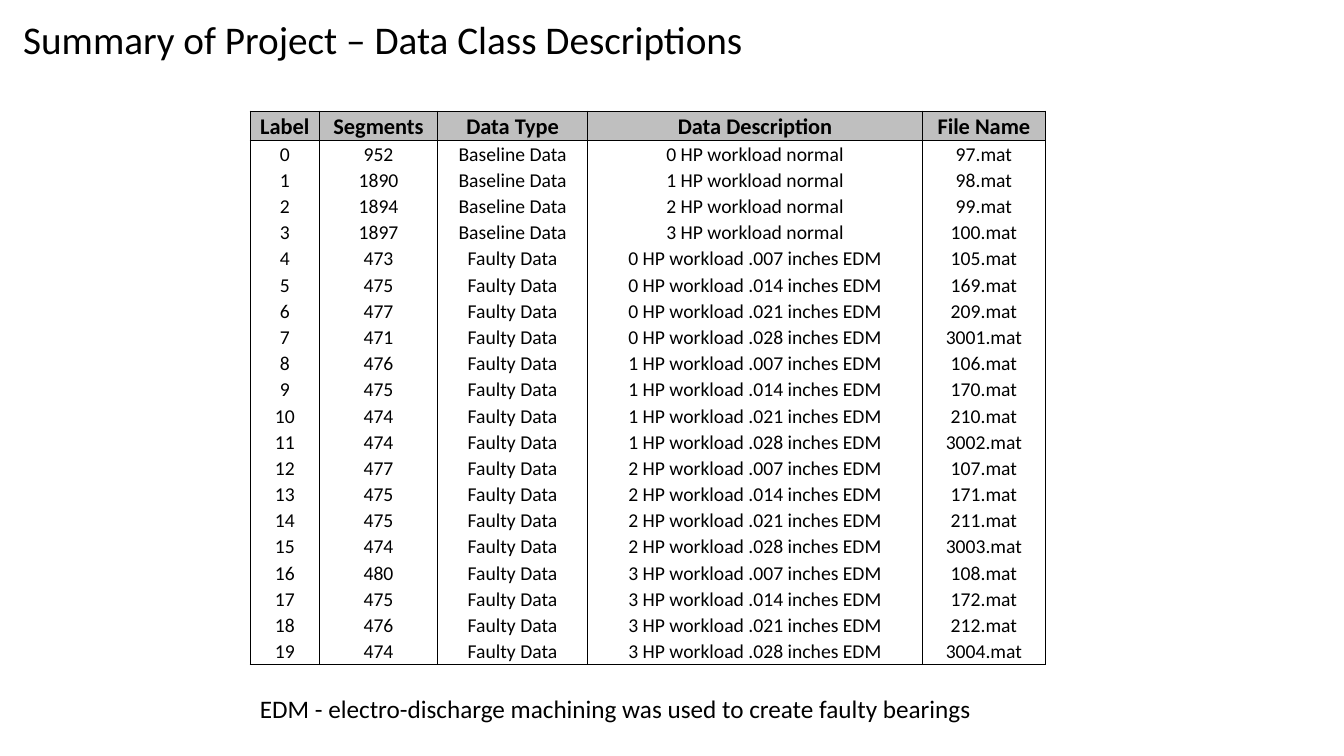
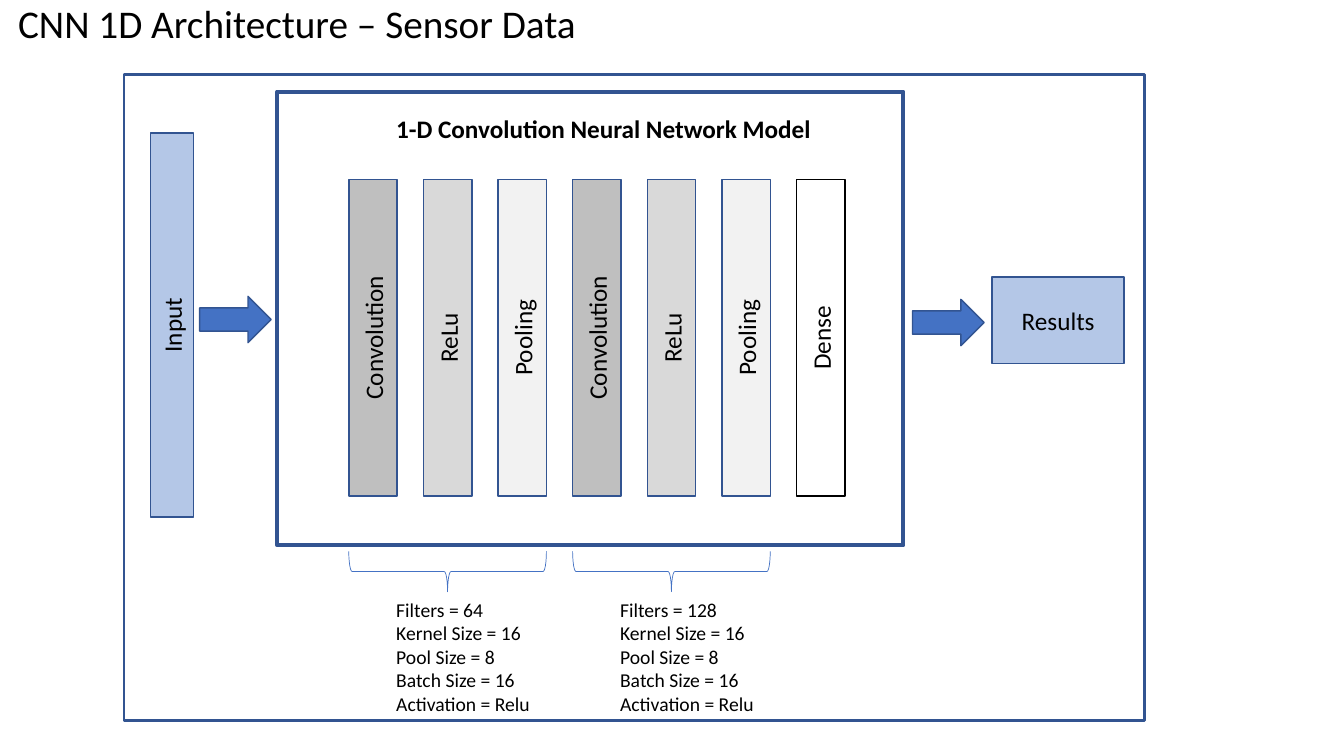
from collections import namedtuple

from lxml import etree
from pptx import Presentation
from pptx import util as u
from pptx.dml.color import RGBColor
from pptx.enum import shapes, text
from pptx.oxml import ns

Box = namedtuple("Box", "left top width height")

COLORS = {
    "ink": "000000",
    "outline": "325491",
    "accent": "4472C4",
    "pale_blue": "B4C7E7",
    "dark_gray": "BFBFBF",
    "mid_gray": "D9D9D9",
    "light_gray": "F2F2F2",
}
TITLE = {"size": u.Pt(28), "bold": False}
NORMAL = {"size": u.Pt(18), "bold": False}
STRONG = {"size": u.Pt(18), "bold": True}
SMALL = {"size": u.Pt(14), "bold": False}
TABLE_HEAD = {"size": u.Pt(16), "bold": True}
TOP_LEFT_FRAME = {
    "word_wrap": True,
    "auto_size": text.MSO_AUTO_SIZE.NONE,
    "vertical_anchor": text.MSO_ANCHOR.TOP,
}
CENTERED_FRAME = dict(TOP_LEFT_FRAME, vertical_anchor=text.MSO_ANCHOR.MIDDLE)
LEFT = {"alignment": text.PP_ALIGN.LEFT, "space_before": u.Pt(0)}
CENTER = {"alignment": text.PP_ALIGN.CENTER, "space_before": u.Pt(0)}

HEADINGS = ["Label", "Segments", "Data Type", "Data Description", "File Name"]
COLUMN_WIDTHS = [0.69, 1.17, 1.49, 3.32, 1.22]
SEGMENTS = [952, 1890, 1894, 1897, 473, 475, 477, 471, 476, 475,
            474, 474, 477, 475, 475, 474, 480, 475, 476, 474]
FAULT_FILES = {".007": 105, ".014": 169, ".021": 209, ".028": 3001}
LAYERS = [("Convolution", "dark_gray"), ("ReLu", "mid_gray"), ("Pooling", "light_gray")]


def color(name):
    return RGBColor.from_string(COLORS[name])


def apply_format(target, values):
    for name, value in values.items():
        setattr(target, name, value)


def place(shape, box):
    apply_format(shape, {name: u.Inches(value) for name, value in box._asdict().items()})


def write(frame, lines, font, frame_format=TOP_LEFT_FRAME, paragraph_format=LEFT):
    apply_format(frame, frame_format)
    for index, line in enumerate(lines):
        paragraph = frame.add_paragraph() if index else frame.paragraphs[0]
        apply_format(paragraph, paragraph_format)
        run = paragraph.add_run()
        run.text = line
        apply_format(run.font, dict(font, name="Calibri"))
        run.font.color.rgb = color("ink")


def add_title(slide, box, title):
    place(slide.shapes.title, box)
    write(slide.shapes.title.text_frame, [title], TITLE)


def add_label(slide, box, label, font):
    textbox = slide.shapes.add_textbox(*map(u.Inches, box))
    write(textbox.text_frame, [label], font)


def add_block(slide, kind, box, fill=None, line="outline", weight=1):
    shape = slide.shapes.add_shape(kind, *map(u.Inches, box))
    shape.shadow.inherit = False
    if fill:
        shape.fill.solid()
        shape.fill.fore_color.rgb = color(fill)
    else:
        shape.fill.background()
    shape.line.color.rgb = color(line)
    shape.line.width = u.Pt(weight)
    return shape


def add_named_block(slide, box, label, fill, line="outline", vertical=False):
    block = add_block(slide, shapes.MSO_SHAPE.RECTANGLE, box, fill, line)
    write(block.text_frame, [label], NORMAL, CENTERED_FRAME, CENTER)
    if vertical:
        block.text_frame._txBody.bodyPr.set("vert", "vert270")


def set_borders(cell, visible_sides):
    properties = cell._tc.get_or_add_tcPr()
    for side in "LRTB":
        border = etree.SubElement(properties, ns.qn(f"a:ln{side}"), w=str(u.Pt(0.5)))
        if side in visible_sides:
            fill = etree.SubElement(border, ns.qn("a:solidFill"))
            etree.SubElement(fill, ns.qn("a:srgbClr"), val=COLORS["ink"])
        else:
            etree.SubElement(border, ns.qn("a:noFill"))


def class_rows():
    classes = [("Baseline Data", f"{power} HP workload normal", 97 + power)
               for power in range(4)]
    classes += [("Faulty Data", f"{power} HP workload {size} inches EDM", first + power)
                for power in range(4) for size, first in FAULT_FILES.items()]
    return [[str(label), str(segments), kind, description, f"{number}.mat"]
            for label, (segments, (kind, description, number))
            in enumerate(zip(SEGMENTS, classes))]


def add_class_table(slide, box):
    rows = [HEADINGS] + class_rows()
    frame = slide.shapes.add_table(len(rows), len(HEADINGS), *map(u.Inches, box))
    table = frame.table
    apply_format(table, {"first_row": False, "horz_banding": False})
    for column, width in zip(table.columns, COLUMN_WIDTHS):
        column.width = u.Inches(width)
    cell_format = {
        "margin_left": u.Inches(0.01), "margin_right": u.Inches(0.01),
        "margin_top": u.Inches(0.01), "margin_bottom": 0,
        "vertical_anchor": text.MSO_ANCHOR.BOTTOM,
    }
    for row_index, values in enumerate(rows):
        heading = row_index == 0
        table.rows[row_index].height = u.Inches(0.29 if heading else 0.26)
        sides = "LRTB" if heading else "LR"
        if row_index == 1:
            sides += "T"
        if row_index == len(rows) - 1:
            sides += "B"
        for column_index, value in enumerate(values):
            cell = table.cell(row_index, column_index)
            apply_format(cell, cell_format)
            set_borders(cell, sides)
            if heading:
                cell.fill.solid()
                cell.fill.fore_color.rgb = color("dark_gray")
            else:
                cell.fill.background()
            write(cell.text_frame, [value], TABLE_HEAD if heading else SMALL, {}, CENTER)


def add_network(slide, box):
    add_block(slide, shapes.MSO_SHAPE.RECTANGLE, box, weight=3)
    add_label(slide, Box(box.left + 1.08, box.top + 0.17, 4.35, 0.4),
              "1-D Convolution Neural Network Model", STRONG)
    pitch, bar_width = 0.74, 0.48
    first_bar = box.left + 0.71
    for index, (label, fill) in enumerate(LAYERS * 2 + [("Dense", None)]):
        bar = Box(first_bar + index * pitch, box.top + 0.87, bar_width, 3.14)
        add_named_block(slide, bar, label, fill, "outline" if fill else "ink", True)
    stage_width = pitch * (len(LAYERS) - 1) + bar_width
    for index, filters in enumerate([64, 128]):
        left = first_bar + index * pitch * len(LAYERS)
        stage = Box(left, box.top + box.height + 0.06, stage_width, 1.7)
        add_stage_notes(slide, stage, slide.placeholders[index + 1], filters)


def add_stage_notes(slide, box, placeholder, filters):
    center, depth = box.left + box.width / 2, 0.4
    brace_box = Box(center - depth / 2, box.top + (depth - box.width) / 2, depth, box.width)
    brace = add_block(slide, shapes.MSO_SHAPE.LEFT_BRACE, brace_box, line="accent", weight=0.5)
    brace.rotation = 270
    place(placeholder, Box(center - 0.61, box.top + 0.41, 1.7, 1.28))
    lines = [f"Filters = {filters}", "Kernel Size = 16", "Pool Size = 8",
             "Batch Size = 16", "Activation = Relu"]
    write(placeholder.text_frame, lines, SMALL)
    for paragraph in placeholder.text_frame.paragraphs:
        properties = paragraph._p.get_or_add_pPr()
        properties.set("marL", "0")
        properties.set("indent", "0")
        etree.SubElement(properties, ns.qn("a:buNone"))


def add_architecture(slide, box):
    add_block(slide, shapes.MSO_SHAPE.RECTANGLE, box, weight=2)
    add_network(slide, Box(box.left + 1.52, box.top + 0.17, 6.21, 4.5))
    add_named_block(slide, Box(box.left + 0.26, box.top + 0.58, 0.43, 3.81),
                    "Input", "pale_blue", vertical=True)
    for left, top in [(0.75, 2.2), (7.82, 2.23)]:
        arrow = Box(box.left + left, box.top + top, 0.71, 0.46)
        add_block(slide, shapes.MSO_SHAPE.RIGHT_ARROW, arrow, "accent")
    add_named_block(slide, Box(box.left + 8.61, box.top + 2.01, 1.31, 0.86),
                    "Results", "pale_blue")


def build_data_slide(presentation):
    slide = presentation.slides.add_slide(presentation.slide_layouts[5])
    add_title(slide, Box(0.13, 0.1, 7.42, 0.57), "Summary of Project – Data Class Descriptions")
    add_class_table(slide, Box(2.48, 1.1, 7.89, 5.49))
    add_label(slide, Box(2.48, 6.83, 7.34, 0.4),
              "EDM - electro-discharge machining was used to create faulty bearings", NORMAL)


def build_architecture_slide(presentation):
    slide = presentation.slides.add_slide(presentation.slide_layouts[3])
    add_title(slide, Box(0.08, -0.06, 5.8, 0.57), "CNN 1D Architecture – Sensor Data")
    add_architecture(slide, Box(1.23, 0.74, 10.12, 6.41))


def main():
    presentation = Presentation()
    apply_format(presentation, {"slide_width": u.Inches(13.33), "slide_height": u.Inches(7.5)})
    build_data_slide(presentation)
    build_architecture_slide(presentation)
    presentation.save("out.pptx")


if __name__ == "__main__":
    main()
